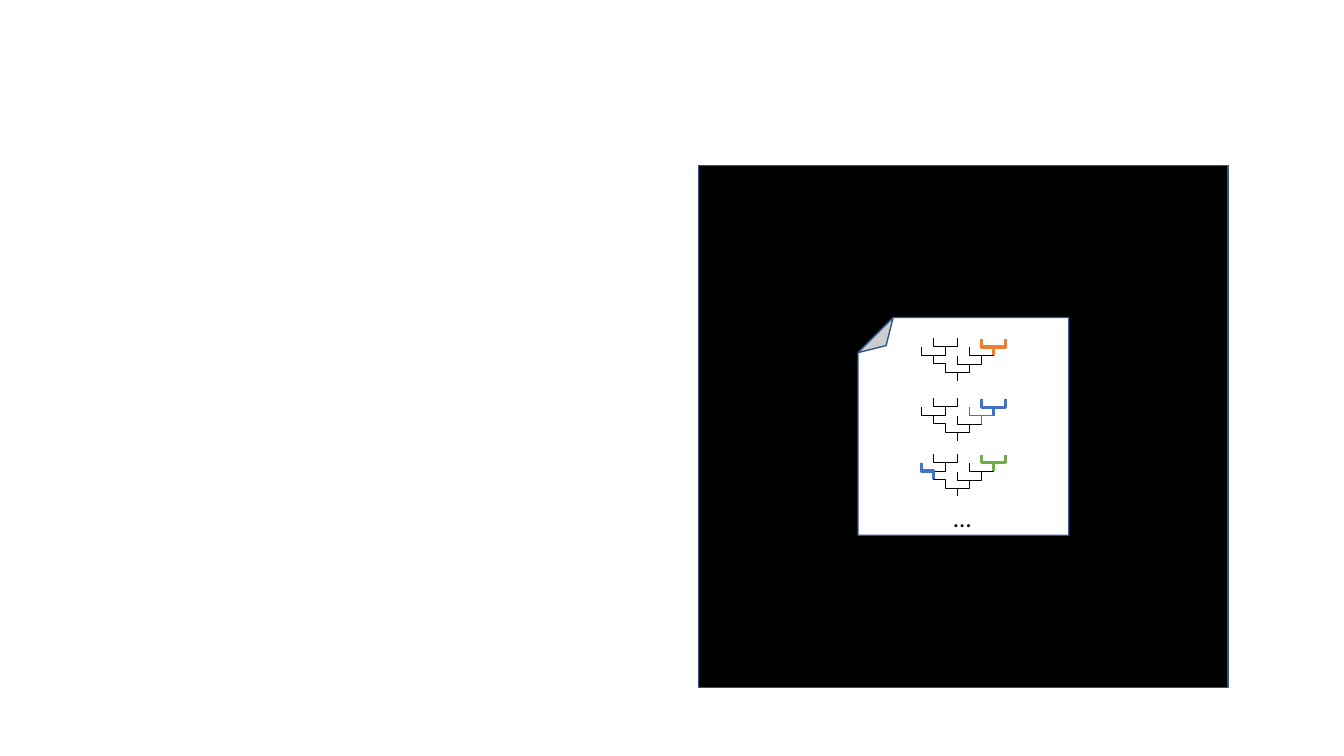
from pptx import Presentation
from pptx.dml.color import RGBColor
from pptx.enum.shapes import MSO_CONNECTOR, MSO_SHAPE
from pptx.enum.text import MSO_AUTO_SIZE
from pptx.oxml.ns import qn
from pptx.util import Inches, Pt
from lxml import etree

RECT, PAGE = MSO_SHAPE.RECTANGLE, MSO_SHAPE.FOLDED_CORNER
ELBOW, GROW = MSO_CONNECTOR.ELBOW, MSO_AUTO_SIZE.SHAPE_TO_FIT_TEXT
BLACK = RGBColor(0x00, 0x00, 0x00)
WHITE = RGBColor(0xFF, 0xFF, 0xFF)
NAVY = RGBColor(0x32, 0x54, 0x91)
BLUE = RGBColor(0x44, 0x72, 0xC4)
ORANGE = RGBColor(0xED, 0x7D, 0x31)
GREEN = RGBColor(0x70, 0xAD, 0x47)
THIN, THICK = 0.5, 2.25

TREE_LEFT, TREE_RIGHT, COLUMNS = 9.14, 9.97, 7
STEP = (TREE_RIGHT - TREE_LEFT) / COLUMNS
RISE = 0.33 / 2
# Each fork joins a left branch in its column to a right branch in the next.
FORKS = {  # name: (left column, offset from the top of the tree)
    "root": (2, 0.25),
    "trunk": (3, 0.17),
    "right": (4, 0.08),
    "right tip": (5, 0),
    "left": (0, 0.08),
    "left tip": (1, -0.01),
}
LEFT_STEM = (1, 0.16)


def add_text(tf, text, size=18, font="Calibri", color=BLACK):
    """Write one formatted run into the first paragraph of a text frame."""
    r = tf.paragraphs[0].add_run()
    r.text = text
    r.font.size = Pt(size)
    r.font.name = font
    r.font.color.rgb = color


class SlideBuilder:
    """Holds the outline style and the current slide."""

    def __init__(self, s, line_color=NAVY, line_width=1):
        """Keep the slide and the style of shape outlines."""
        self.s = s
        self.line_color = line_color
        self.line_width = line_width

    def shape(self, kind, x, y, w, h, fill, rotation=0):
        """Add a filled, outlined preset shape."""
        sp = self.s.shapes.add_shape(kind, Inches(x), Inches(y), Inches(w), Inches(h))
        sp.shadow.inherit = False
        sp.fill.solid()
        sp.fill.fore_color.rgb = fill
        sp.line.color.rgb = self.line_color
        sp.line.width = Pt(self.line_width)
        sp.rotation = rotation

    def text(self, x, y, w, h, text, **style):
        """Add an unwrapped text box that grows with its text."""
        sp = self.s.shapes.add_textbox(Inches(x), Inches(y), Inches(w), Inches(h))
        sp.text_frame.word_wrap = False
        sp.text_frame.auto_size = GROW
        add_text(sp.text_frame, text, **style)

    def branch(self, column, y, is_left, color=BLACK, width=THIN):
        """Add an elbow one column wide that leaves and arrives vertically."""
        cx = TREE_LEFT + (column + 0.5) * STEP
        cy = y + RISE / 2
        # A quarter turn swaps width and height; left branches run upwards.
        x1, x2 = cx - RISE / 2, cx + RISE / 2
        if is_left:
            x1, x2 = x2, x1
        sp = self.s.shapes.add_connector(
            ELBOW, Inches(x1), Inches(cy - STEP / 2), Inches(x2), Inches(cy + STEP / 2))
        sp.rotation = 90
        sp.line.color.rgb = color
        sp.line.width = Pt(width)
        etree.SubElement(sp._element.spPr, qn("a:effectLst"))

    def tree(self, top, marks):
        """Add a tree; marks maps (fork, is_left) to a colour and a width."""
        column, offset = LEFT_STEM
        self.branch(column, top + offset, True)
        for name, (column, offset) in FORKS.items():
            for is_left in (False, True):
                style = marks.get((name, is_left), (BLACK, THIN))
                self.branch(column + (not is_left), top + offset, is_left, *style)


def mark_fork(name, color, width=THICK):
    """Return the marks for both branches of a fork."""
    return {(name, is_left): (color, width) for is_left in (False, True)}


prs = Presentation()
prs.slide_width, prs.slide_height = Inches(13.33), Inches(7.5)
slide = SlideBuilder(prs.slides.add_slide(prs.slide_layouts[6]))

slide.shape(RECT, 6.93, 1.64, 5.25, 5.18, BLACK)
slide.shape(PAGE, 8.51, 3.15, 2.09, 2.16, WHITE, rotation=180)
trees = [
    (3.36, mark_fork("right tip", ORANGE)),
    (3.96, mark_fork("right tip", BLUE) | mark_fork("right", BLUE, THIN)),
    (4.51, mark_fork("right tip", GREEN) | {("left", True): (BLUE, THICK)}),
]
for top, marks in trees:
    slide.tree(top, marks)
slide.text(9.36, 4.93, 0.25, 0.27, "…")

prs.save("out.pptx")
